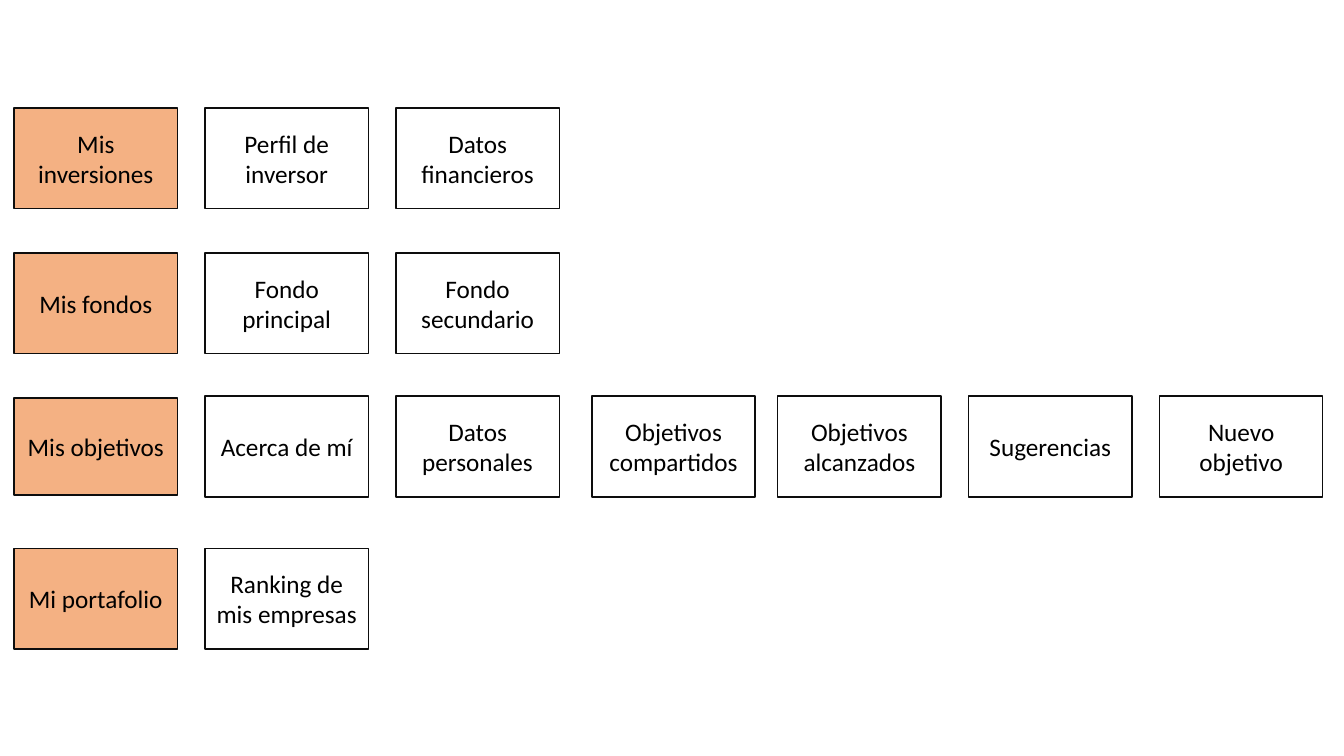
from pptx import Presentation
from pptx.dml.color import RGBColor
from pptx.enum.shapes import MSO_SHAPE as Shape
from pptx.enum.text import MSO_ANCHOR as Anchor, PP_ALIGN as Align
from pptx.util import Inches, Pt

SECTIONS = [
    (1.07, ["Mis inversiones", "Perfil de inversor", "Datos financieros"]),
    (2.51, ["Mis fondos", "Fondo principal", "Fondo secundario"]),
    (3.93, ["Mis objetivos", "Acerca de mí", "Datos personales",
            "Objetivos compartidos", "Objetivos alcanzados", "Sugerencias",
            "Nuevo objetivo"]),
    (5.44, ["Mi portafolio", "Ranking de mis empresas"]),
]
LEFT, LAST_LEFT, LAST_COLUMN = 0.14, 11.5, 6
PITCH = (LAST_LEFT - LEFT) / LAST_COLUMN
CARD_WIDTH, CARD_HEIGHT = 1.62, 1
COLUMN_SHIFT = {"Objetivos compartidos": 0.05}
VERTICAL_INSET = {"Mis objetivos": 0.02}


def paint(color_format, color):
    """Set a fill, line or font colour from a hex string."""
    color_format.rgb = RGBColor.from_string(color)


def add_card(page, box, label, fill=None):
    """Draw one outlined card with a centred label."""
    card = page.shapes.add_shape(Shape.RECTANGLE, *map(Inches, box))
    card.shadow.inherit = False
    if fill:
        card.fill.solid()
        paint(card.fill.fore_color, fill)
    else:
        card.fill.background()
    paint(card.line.color, "0D0D0D")
    card.line.width = Pt(1)
    frame = card.text_frame
    frame.word_wrap = True
    frame.vertical_anchor = Anchor.MIDDLE
    para = frame.paragraphs[0]
    para.alignment = Align.CENTER
    run = para.add_run()
    run.text = label
    run.font.name = "Calibri"
    run.font.size = Pt(18)
    paint(run.font.color, "000000")


def add_section(page, left, top, labels):
    """Lay out a coloured section card followed by its screens."""
    for column, label in enumerate(labels):
        inset = VERTICAL_INSET.get(label, 0)
        box = (left + column * PITCH + COLUMN_SHIFT.get(label, 0), top + inset,
               CARD_WIDTH, CARD_HEIGHT - 2 * inset)
        add_card(page, box, label, "F4B183" if column == 0 else None)


def main():
    """Build the slide and save it."""
    deck = Presentation()
    deck.slide_width, deck.slide_height = Inches(13.33), Inches(7.5)
    page = deck.slides.add_slide(deck.slide_layouts[6])
    for top, labels in SECTIONS:
        add_section(page, LEFT, top, labels)
    deck.save("out.pptx")


if __name__ == "__main__":
    main()
